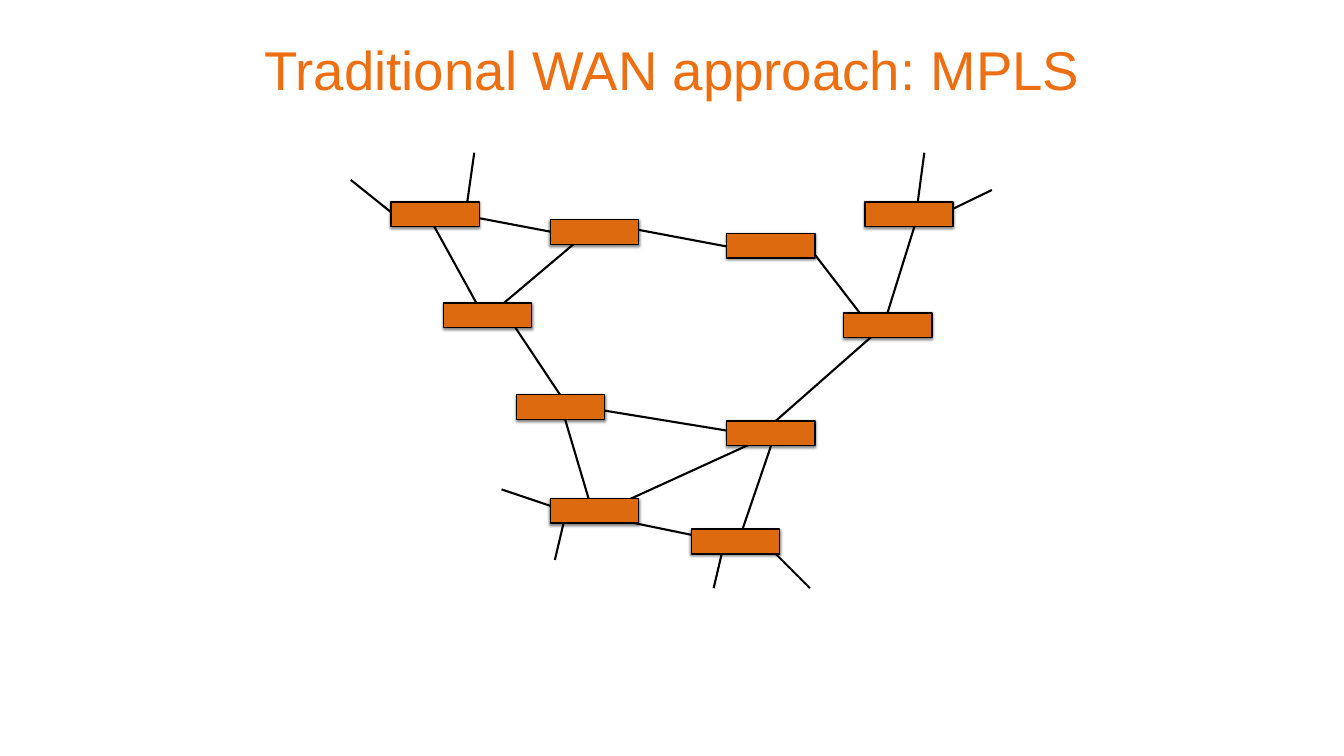
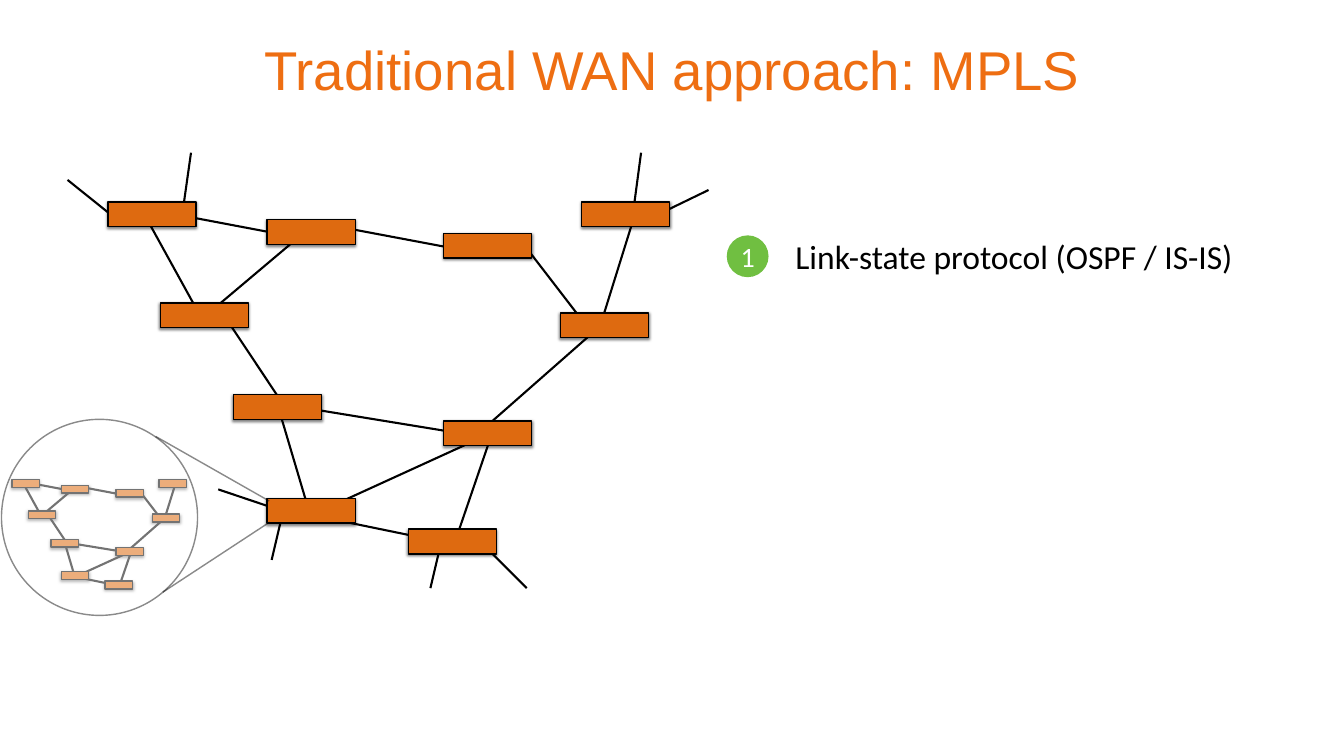
from dataclasses import dataclass
from typing import NamedTuple

from lxml.etree import SubElement
from pptx import Presentation
from pptx.dml.color import RGBColor
from pptx.enum.shapes import MSO_CONNECTOR as Connector, MSO_SHAPE as Preset
from pptx.enum.text import MSO_ANCHOR as Anchor, PP_ALIGN as Align
from pptx.oxml.ns import qn
from pptx.util import Inches, Pt

COLUMNS, ROWS = 80, 45
SLIDE_WIDTH, SLIDE_HEIGHT = Inches(26.67), Inches(15)


@dataclass(frozen=True)
class Theme:
    heading: str = "EE6E12"
    router: str = "DE6A10"
    ink: str = "000000"
    paper: str = "FFFFFF"
    step: str = "70BF41"
    heading_font: str = "Arial"
    body_font: str = "Calibri"
    heading_size: float = 78
    body_size: float = 48
    badge_size: float = 40
    link_width: float = 3
    outline_width: float = 2
    veil_percent: int = 45
    shadow_percent: int = 50
    shadow_blur: float = 4
    shadow_distance: float = 2


THEME = Theme()


class Point(NamedTuple):
    column: float
    row: float


class Link(NamedTuple):
    start: Point
    end: Point


class Area(NamedTuple):
    column: float
    row: float
    columns: float
    rows: float


class TextStyle(NamedTuple):
    font: str
    size: float
    color: str
    inset: float


@dataclass(frozen=True)
class Network:
    origin: Point
    scale: float = 1
    has_uplinks: bool = True

    def place(self, point: Point) -> Point:
        return Point(self.origin.column + point.column * self.scale,
                     self.origin.row + point.row * self.scale)


def links(*ends: tuple[float, float, float, float]) -> list[Link]:
    return [Link(Point(a, b), Point(c, d)) for a, b, c, d in ends]


ROUTER_SIZE = Point(5.25, 1.47)
ROUTERS = [Point(*spot) for spot in (
    (0, 0), (9.48, 1.05), (3.12, 6), (19.98, 1.86), (26.94, 6.6),
    (28.2, 0), (7.47, 11.46), (19.98, 13.02), (9.48, 17.64), (17.88, 19.47))]
UPLINKS = links(
    (0.78, 1.23, -2.4, -1.32),
    (4.44, 0.66, 4.95, -2.94),
    (31.26, 0.66, 31.74, -2.94),
    (32.91, 0.66, 35.76, -0.72),
    (22.38, 20.43, 24.93, 22.98),
    (19.8, 20.43, 19.2, 22.98),
    (10.35, 18.75, 9.75, 21.3),
    (9.6, 18.12, 6.57, 17.1))
BACKBONE = links(
    (28.59, 7.5, 24.48, 2.16),
    (29.34, 7.26, 31.35, 0.81),
    (10.8, 2.01, 3.51, 0.63),
    (5.19, 6.21, 2.43, 1.2),
    (5.76, 6.81, 11.31, 2.13),
    (10.17, 12.3, 11.94, 18.27),
    (22.95, 13.53, 20.58, 20.46),
    (19.74, 20.19, 12.6, 18.72),
    (21.39, 13.83, 12.39, 12.36),
    (21.72, 14.25, 13.38, 18.06),
    (10.71, 12.45, 6.66, 6.36),
    (21.24, 2.88, 13.92, 1.5),
    (29.28, 7.41, 21.81, 13.98))

CENTERED = Network(Point(23.28, 12.03))
LEFT = Network(Point(6.42, 12.03))
MINIATURE = Network(Point(0.72, 28.56), scale=0.31, has_uplinks=False)

TITLE_AREA = Area(10, 0, 60, 8.19)
STEP_AREA = Area(46.65, 13.95, 27.42, 2.64)
BADGE_AREA = Area(43.26, 14.01, 2.49, 2.49)
LENS_AREA = Area(0.09, 24.96, 11.67, 11.67)
LENS_RAYS = links((9.27, 25.98, 16.02, 29.82), (9.69, 35.25, 16.05, 31.08))

TITLE_STYLE = TextStyle(THEME.heading_font, THEME.heading_size, THEME.heading, 0.08)
STEP_STYLE = TextStyle(THEME.body_font, THEME.body_size, THEME.ink, 0.06)
BADGE_STYLE = TextStyle(THEME.body_font, THEME.badge_size, THEME.paper, 0.06)


def across(columns: float) -> int:
    return round(SLIDE_WIDTH * columns / COLUMNS)


def down(rows: float) -> int:
    return round(SLIDE_HEIGHT * rows / ROWS)


def frame(area: Area) -> tuple[int, int, int, int]:
    return across(area.column), down(area.row), across(area.columns), down(area.rows)


def set_effects(shape, shadowed: bool = False) -> None:
    properties = shape._element.spPr
    effects = properties.find(qn("a:effectLst"))
    if effects is None:
        effects = SubElement(properties, qn("a:effectLst"))
    if shadowed:
        shadow = SubElement(effects, qn("a:outerShdw"), {
            "blurRad": str(Pt(THEME.shadow_blur)),
            "dist": str(Pt(THEME.shadow_distance)),
            "dir": str(90 * 60000), "rotWithShape": "0"})
        color = SubElement(shadow, qn("a:srgbClr"), val=THEME.ink)
        SubElement(color, qn("a:alpha"), val=str(THEME.shadow_percent * 1000))


def veil(shape) -> None:
    for color in shape._element.spPr.iter(qn("a:srgbClr")):
        SubElement(color, qn("a:alpha"), val=str(THEME.veil_percent * 1000))


def draw_line(shapes, link: Link, width: float):
    line = shapes.add_connector(
        Connector.STRAIGHT, across(link.start.column), down(link.start.row),
        across(link.end.column), down(link.end.row))
    line.line.color.rgb = RGBColor.from_string(THEME.ink)
    line.line.width = Pt(width)
    set_effects(line)
    return line


def draw_shape(shapes, preset: Preset, area: Area, fill: str, outlined: bool = True):
    shape = shapes.add_shape(preset, *frame(area))
    shape.shadow.inherit = False
    shape.fill.solid()
    shape.fill.fore_color.rgb = RGBColor.from_string(fill)
    if outlined:
        shape.line.color.rgb = RGBColor.from_string(THEME.ink)
        shape.line.width = Pt(THEME.outline_width)
    else:
        shape.line.fill.background()
    return shape


def write(box, text: str, style: TextStyle) -> None:
    body = box.text_frame
    body.text = text
    body.word_wrap = True
    body.vertical_anchor = Anchor.MIDDLE
    body.margin_left = body.margin_right = Inches(style.inset)
    body.margin_top = body.margin_bottom = Inches(style.inset)
    para = body.paragraphs[0]
    para.alignment = Align.CENTER
    font = para.runs[0].font
    font.name = style.font
    font.size = Pt(style.size)
    font.color.rgb = RGBColor.from_string(style.color)


def draw_text(shapes, area: Area, text: str, style: TextStyle) -> None:
    write(shapes.add_textbox(*frame(area)), text, style)


def draw_network(shapes, network: Network) -> None:
    uplinks = UPLINKS if network.has_uplinks else []
    for link in uplinks + BACKBONE:
        placed = Link(network.place(link.start), network.place(link.end))
        draw_line(shapes, placed, THEME.link_width)
    for spot in ROUTERS:
        area = Area(*network.place(spot), *(side * network.scale for side in ROUTER_SIZE))
        set_effects(draw_shape(shapes, Preset.RECTANGLE, area, THEME.router), shadowed=True)


def draw_lens(shapes) -> None:
    draw_network(shapes, MINIATURE)
    veil(draw_shape(shapes, Preset.OVAL, LENS_AREA, THEME.paper))
    for ray in LENS_RAYS:
        veil(draw_line(shapes, ray, THEME.outline_width))


def draw_step(shapes, number: int, text: str) -> None:
    draw_text(shapes, STEP_AREA, text, STEP_STYLE)
    badge = draw_shape(shapes, Preset.OVAL, BADGE_AREA, THEME.step, outlined=False)
    write(badge, str(number), BADGE_STYLE)


def add_page(deck, network: Network):
    page = deck.slides.add_slide(deck.slide_layouts[6])
    draw_text(page.shapes, TITLE_AREA, "Traditional WAN approach: MPLS", TITLE_STYLE)
    draw_network(page.shapes.add_group_shape().shapes, network)
    return page


def main() -> None:
    deck = Presentation()
    deck.slide_width, deck.slide_height = SLIDE_WIDTH, SLIDE_HEIGHT
    add_page(deck, CENTERED)
    page = add_page(deck, LEFT)
    draw_step(page.shapes.add_group_shape().shapes, 1, "Link-state protocol (OSPF / IS-IS)")
    draw_lens(page.shapes.add_group_shape().shapes)
    deck.save("out.pptx")


if __name__ == "__main__":
    main()
